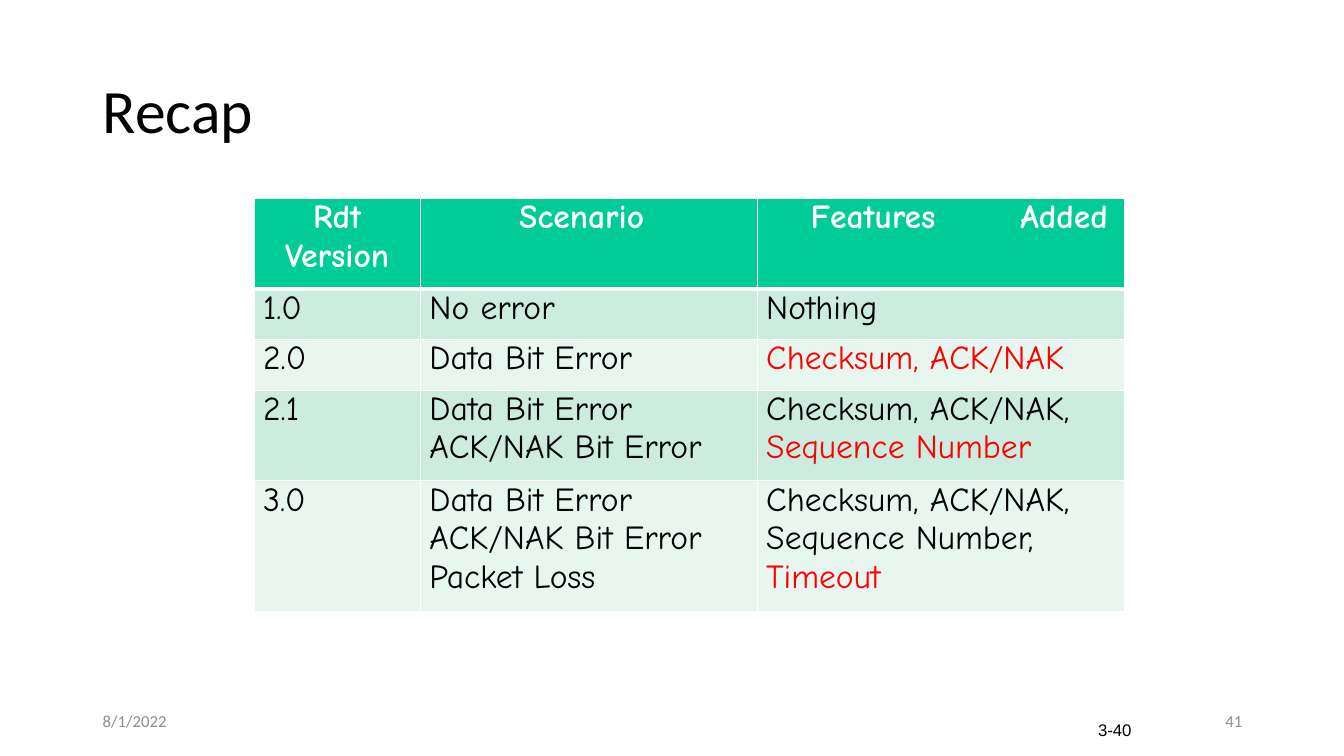
"""Build the recap slide comparing the rdt protocol versions."""
import pptx
import pptx.dml.color
import pptx.enum.text
import pptx.oxml
import pptx.oxml.ns
import pptx.util

BLACK = pptx.dml.color.RGBColor(0x00, 0x00, 0x00)
WHITE = pptx.dml.color.RGBColor(0xFF, 0xFF, 0xFF)
RED = pptx.dml.color.RGBColor(0xFF, 0x00, 0x00)
GREY = pptx.dml.color.RGBColor(0x8C, 0x8C, 0x8C)
GREEN = pptx.dml.color.RGBColor(0x00, 0xCC, 0x98)
PALE_GREEN = pptx.dml.color.RGBColor(0xCB, 0xEC, 0xDE)
PALEST_GREEN = pptx.dml.color.RGBColor(0xE7, 0xF6, 0xEF)
ALIGN = pptx.enum.text.PP_ALIGN
MIDDLE = pptx.enum.text.MSO_ANCHOR.MIDDLE

deck = pptx.Presentation()
deck.slide_width = pptx.util.Inches(13.33)
deck.slide_height = pptx.util.Inches(7.5)
slide = deck.slides.add_slide(deck.slide_layouts[5])


def area(left, top, width, height):
    """Turn percentages of the slide into lengths."""
    across, down = deck.slide_width / 100, deck.slide_height / 100
    return int(left * across), int(top * down), int(width * across), int(height * down)


def style(paragraph, font_name, size, color):
    """Set the font of a whole paragraph."""
    paragraph.font.name = font_name
    paragraph.font.size = pptx.util.Pt(size)
    paragraph.font.color.rgb = color


title = slide.shapes.title
title.left, title.top, title.width, title.height = area(6.9, 5.33, 86.27, 19.33)
title.text_frame.text = "Recap"
title.text_frame.vertical_anchor = MIDDLE
heading = title.text_frame.paragraphs[0]
heading.alignment = ALIGN.LEFT
heading.line_spacing = 0.9
style(heading, "Calibri", 44, BLACK)

column_shares = [12.38, 25.06, 27.31]
row_shares = [12, 6.67, 6.67, 12, 17.33]
versions = [
    [["Rdt\nVersion"], ["Scenario"], ["Features\tAdded"]],
    [["1.0"], ["No error"], ["Nothing"]],
    [["2.0"], ["Data Bit Error"], ["", "Checksum, ACK/NAK"]],
    [["2.1"], ["Data Bit Error ACK/NAK Bit Error"],
     ["Checksum, ACK/NAK, ", "Sequence Number"]],
    [["3.0"], ["Data Bit Error ACK/NAK Bit Error Packet Loss"],
     ["Checksum, ACK/NAK, Sequence Number, ", "Timeout"]],
]
header_indents = [0, 0.98, 0.53]
recap = slide.shapes.add_table(
    len(row_shares), len(column_shares),
    *area(18.9, 26.27, sum(column_shares), sum(row_shares))).table
for column, share in zip(recap.columns, column_shares):
    column.width = int(deck.slide_width * share / 100)
for row, share in zip(recap.rows, row_shares):
    row.height = int(deck.slide_height * share / 100)

for r, version in enumerate(versions):
    is_header = r == 0
    for c, (plain, *added) in enumerate(version):
        cell = recap.cell(r, c)
        cell.margin_left = pptx.util.Inches(header_indents[c] if is_header else 0.09)
        cell.margin_right = cell.margin_top = cell.margin_bottom = 0
        cell.fill.solid()
        cell.fill.fore_color.rgb = (
            GREEN if is_header else PALE_GREEN if r % 2 else PALEST_GREEN)
        cell.text_frame.text = plain
        for paragraph in cell.text_frame.paragraphs:
            style(paragraph, "Comic Neue", 24, WHITE if is_header else BLACK)
            paragraph.font.bold = is_header
            paragraph.alignment = ALIGN.CENTER if is_header and c == 0 else ALIGN.LEFT
        for text in added:
            new_feature = cell.text_frame.paragraphs[0].add_run()
            new_feature.text = text
            new_feature.font.color.rgb = RED
        cell_properties = cell._tc.get_or_add_tcPr()
        border_widths = {"L": 1, "R": 1, "T": 3 if r == 1 else 1, "B": 3 if is_header else 1}
        for position, (side, width) in enumerate(border_widths.items()):
            cell_properties.insert(position, pptx.oxml.parse_xml(
                f'<a:ln{side} {pptx.oxml.ns.nsdecls("a")} w="{pptx.util.Pt(width)}">'
                f'<a:solidFill><a:srgbClr val="{WHITE}"/></a:solidFill></a:ln{side}>'))

features_heading = recap.cell(0, 2).text_frame.paragraphs[0]
features_heading._p.get_or_add_pPr().insert(0, pptx.oxml.parse_xml(
    f'<a:tabLst {pptx.oxml.ns.nsdecls("a")}>'
    f'<a:tab pos="{pptx.util.Inches(2.08)}" algn="l"/></a:tabLst>'))

footers = [
    ("8/1/2022", area(6.9, 92.67, 22.5, 5.33), "Calibri", GREY, ALIGN.LEFT, True),
    ("3-40", area(81.7, 95.2, 2.7, 2.67), "Arial", BLACK, ALIGN.LEFT, False),
    ("41", area(70.67, 92.67, 22.5, 5.33), "Calibri", GREY, ALIGN.RIGHT, True),
]
for text, place, font_name, color, alignment, has_insets in footers:
    frame = slide.shapes.add_textbox(*place).text_frame
    frame.word_wrap = True
    if has_insets:
        frame.vertical_anchor = MIDDLE
    else:
        frame.margin_left = frame.margin_right = frame.margin_top = frame.margin_bottom = 0
    frame.text = text
    frame.paragraphs[0].alignment = alignment
    style(frame.paragraphs[0], font_name, 12, color)

deck.save("out.pptx")
